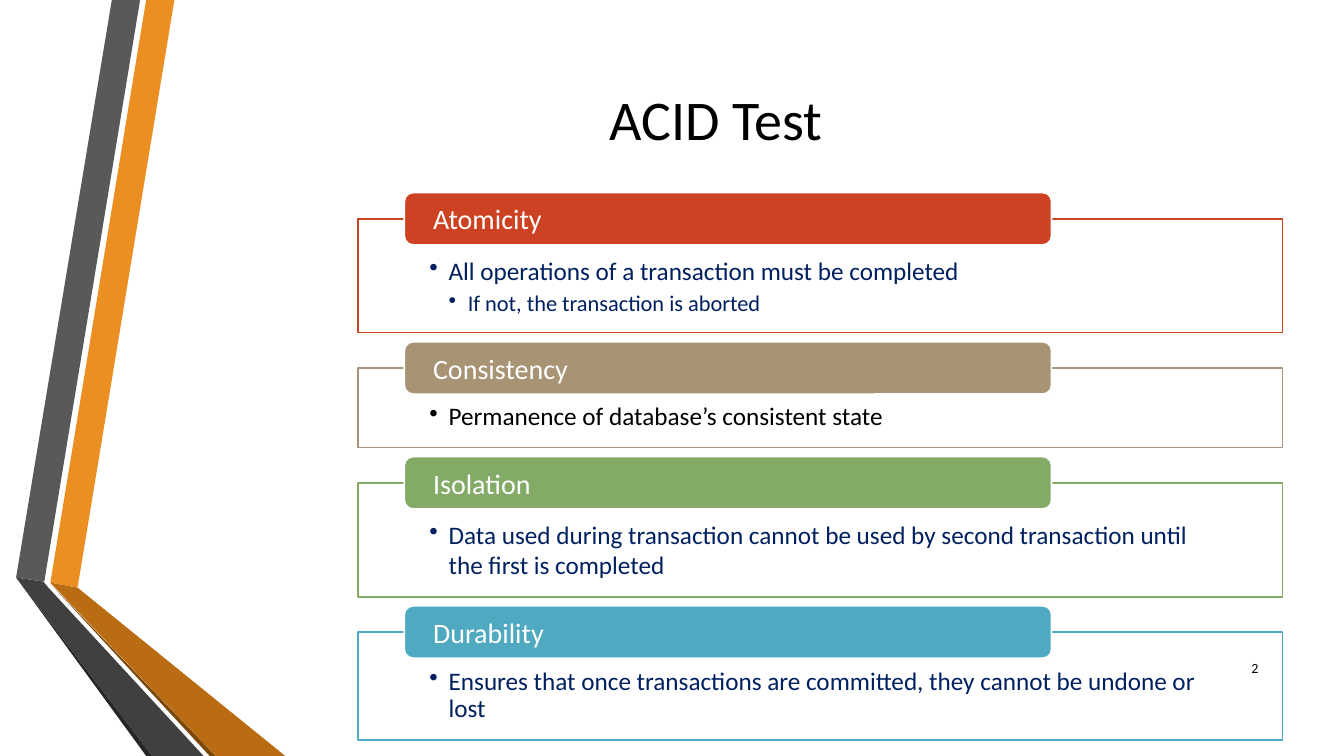
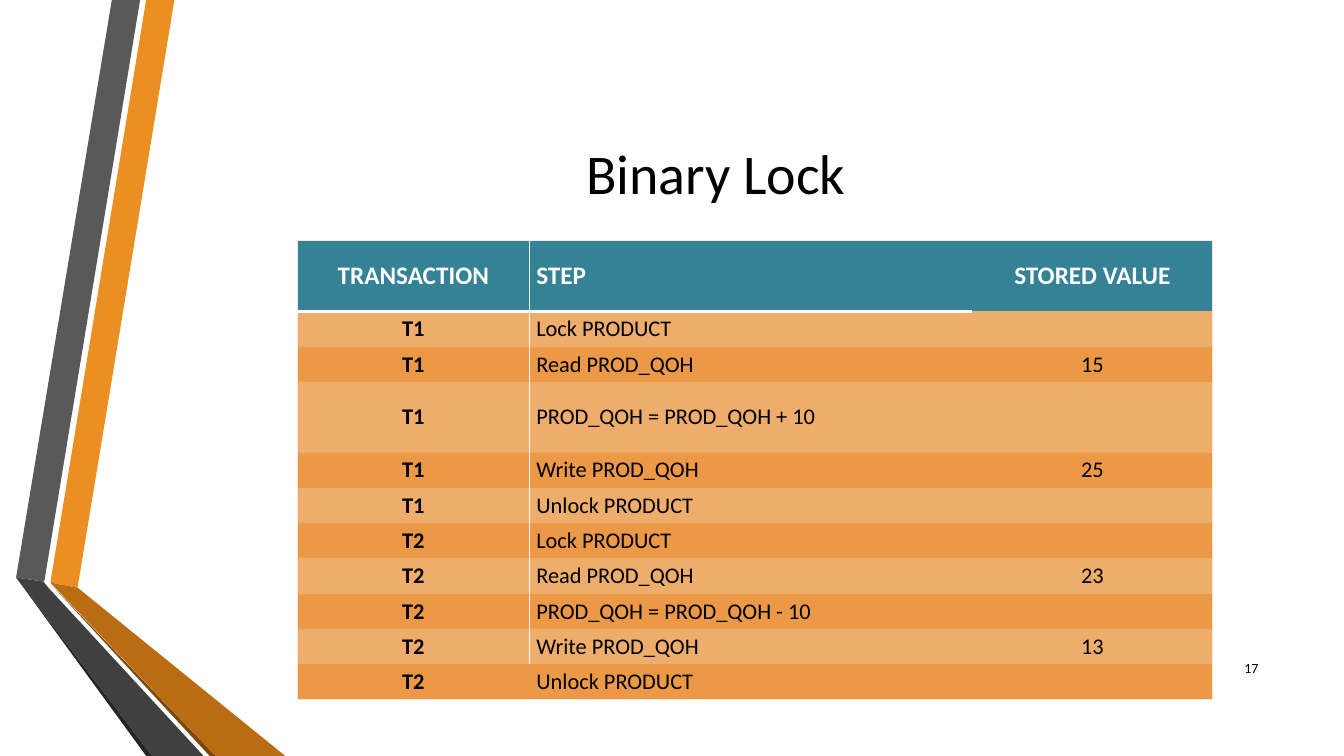
from lxml.etree import SubElement
from pptx import Presentation
from pptx.dml.color import RGBColor
from pptx.enum.shapes import MSO_SHAPE
from pptx.enum.text import MSO_ANCHOR, PP_ALIGN
from pptx.oxml.ns import qn
from pptx.util import Pt

PX = 9144  # 100 px to the inch
FONT = "Calibri"
PLAIN_TABLE_STYLE = "{2D5ABB26-0587-4C30-8999-92F81FD0307C}"
COLORS = {
    "white": "FFFFFF", "black": "000000", "navy": "002060",
    "orange": "EB8F22", "orange_dark": "B96C11", "orange_edge": "7B480B",
    "gray": "595959", "gray_dark": "404040", "gray_edge": "262626",
    "red": "CD4223", "tan": "A89374", "green": "83AA67", "blue": "4FA9C1",
    "header": "358297", "row_light": "EFAD6C", "row_dark": "EB9847",
    "frame": "F9E5DB",
}

# Folded ribbons at the left edge of every slide
RIBBONS = [
    ("orange", [(50, 578), (77, 583), (173, 0), (145, 0)]),
    ("gray", [(139, 0), (111, 0), (16, 573), (44, 577)]),
    ("gray_edge", [(16, 573), (145, 750), (151, 750)]),
    ("orange_edge", [(50, 579), (208, 750), (214, 750)]),
    ("orange_dark", [(50, 578), (214, 750), (283, 750), (77, 583)]),
    ("gray_dark", [(202, 750), (48, 583), (43, 577), (16, 573), (151, 750)]),
]

# Heading, colour, box height, line spacing, text colour, (level, text) bullets
PROPERTIES = [
    ("Atomicity", "red", 113, 1.0, "navy",
     [(1, "All operations of a transaction must be completed"),
      (2, "If not, the transaction is aborted")]),
    ("Consistency", "tan", 79, 0.9, "black",
     [(1, "Permanence of database’s consistent state")]),
    ("Isolation", "green", 113, 1.0, "navy",
     [(1, "Data used during transaction cannot be used by second transaction "
          "until the first is completed")]),
    ("Durability", "blue", 107, 0.9, "navy",
     [(1, "Ensures that once transactions are committed, they cannot be "
          "undone or lost")]),
]

LOCK_STEPS = [
    ("TRANSACTION", "STEP", "STORED VALUE"),
    ("T1", "Lock PRODUCT", ""),
    ("T1", "Read PROD_QOH", "15"),
    ("T1", "PROD_QOH = PROD_QOH + 10", ""),
    ("T1", "Write PROD_QOH", "25"),
    ("T1", "Unlock PRODUCT", ""),
    ("T2", "Lock PRODUCT", ""),
    ("T2", "Read PROD_QOH", "23"),
    ("T2", "PROD_QOH = PROD_QOH - 10", ""),
    ("T2", "Write PROD_QOH", "13"),
    ("T2", "Unlock PRODUCT", ""),
]
COLUMN_WIDTHS = (230, 439, 239)
TALL_ROWS = (0, 3)


def px(*lengths):
    return [length * PX for length in lengths]


def rgb(color):
    return RGBColor.from_string(COLORS[color])


def add_run(paragraph, text, size, color, bold=False):
    run = paragraph.add_run()
    run.text = text
    run.font.name = FONT
    run.font.size = Pt(size)
    run.font.bold = bold
    run.font.color.rgb = rgb(color)


def set_margins(holder, left, top, right, bottom):
    (holder.margin_left, holder.margin_top,
     holder.margin_right, holder.margin_bottom) = px(left, top, right, bottom)


def add_label(slide, area, text, size, align):
    frame = slide.shapes.add_textbox(*px(*area)).text_frame
    frame.word_wrap = True
    frame.vertical_anchor = MSO_ANCHOR.MIDDLE
    frame.paragraphs[0].alignment = align
    add_run(frame.paragraphs[0], text, size, "black")


def add_panel(slide, preset, area, fill, line, margins, anchor):
    panel = slide.shapes.add_shape(preset, *px(*area))
    panel.shadow.inherit = False
    panel.fill.solid()
    panel.fill.fore_color.rgb = rgb(fill)
    panel.line.color.rgb = rgb(line)
    panel.line.width = Pt(1.25)
    frame = panel.text_frame
    frame.word_wrap = True
    frame.vertical_anchor = anchor
    set_margins(frame, *margins)
    return frame


def add_bullet(paragraph, level, text, spacing, color):
    properties = paragraph._p.get_or_add_pPr()
    properties.set("marL", str(19 * PX * level))
    properties.set("indent", str(-19 * PX))
    paragraph.alignment = PP_ALIGN.LEFT
    paragraph.line_spacing = spacing
    paragraph.space_after = Pt(3)
    SubElement(properties, qn("a:buChar")).set("char", "•")
    add_run(paragraph, text, 20 - 2 * level, color)


def add_property(slide, top, heading, accent, height, spacing, color, bullets):
    # Outlined box with bullets
    body = add_panel(slide, MSO_SHAPE.RECTANGLE, (355, top, 917, height),
                     "white", accent, (71, 36, 71, 14), MSO_ANCHOR.TOP)
    for index, (level, text) in enumerate(bullets):
        paragraph = body.add_paragraph() if index else body.paragraphs[0]
        add_bullet(paragraph, level, text, spacing, color)
    # Heading tab centred on the top edge of the box
    tab = add_panel(slide, MSO_SHAPE.ROUNDED_RECTANGLE, (401, top - 26, 642, 52),
                    accent, "white", (26, 0, 26, 0), MSO_ANCHOR.MIDDLE)
    tab.paragraphs[0].alignment = PP_ALIGN.LEFT
    add_run(tab.paragraphs[0], heading, 20, "white")


def add_borders(cell, borders):
    properties = cell._tc.get_or_add_tcPr()
    for side in "LRTB":
        if side in borders:
            color, width = borders[side]
            line = SubElement(properties, qn(f"a:ln{side}"), w=str(Pt(width)))
            fill = SubElement(line, qn("a:solidFill"))
            SubElement(fill, qn("a:srgbClr"), val=COLORS[color])


def cell_borders(row, column):
    last_row, last_column = len(LOCK_STEPS) - 1, len(COLUMN_WIDTHS) - 1
    outer = ("frame", 0.75)
    borders = {}
    if row == 0:
        borders["T"] = outer
        if column < last_column:
            borders["B"] = ("white", 1.75)
    if row == last_row:
        borders["B"] = outer
    if column == 0:
        borders["L"] = outer
        if row < last_row:
            borders["R"] = ("white", 1.25)
    if column == last_column:
        borders["R"] = outer
    return borders


def add_lock_table(slide, left, top):
    heights = [70 if row in TALL_ROWS else 35 for row in range(len(LOCK_STEPS))]
    holder = slide.shapes.add_table(
        len(LOCK_STEPS), len(COLUMN_WIDTHS),
        *px(left, top, sum(COLUMN_WIDTHS), sum(heights)))
    next(holder._element.iter(qn("a:tableStyleId"))).text = PLAIN_TABLE_STYLE
    table = holder.table
    for column, width in enumerate(COLUMN_WIDTHS):
        table.columns[column].width = width * PX
    for row, texts in enumerate(LOCK_STEPS):
        table.rows[row].height = heights[row] * PX
        is_header = row == 0
        fill = "header" if is_header else ("row_dark", "row_light")[row % 2]
        for column, text in enumerate(texts):
            cell = table.cell(row, column)
            add_borders(cell, cell_borders(row, column))
            cell.fill.solid()
            cell.fill.fore_color.rgb = rgb(fill)
            cell.vertical_anchor = MSO_ANCHOR.MIDDLE
            set_margins(cell, 7, 0, 7, 0)
            paragraph = cell.text_frame.paragraphs[0]
            paragraph.alignment = PP_ALIGN.LEFT if column == 1 else PP_ALIGN.CENTER
            if text:
                add_run(paragraph, text, 18 if is_header else 16,
                        "white" if is_header else "black",
                        is_header or column == 0)


def add_ribbons(slide):
    for color, points in RIBBONS:
        builder = slide.shapes.build_freeform(*points[0], scale=PX)
        builder.add_line_segments(points[1:], close=True)
        ribbon = builder.convert_to_shape()
        ribbon.shadow.inherit = False
        ribbon.fill.solid()
        ribbon.fill.fore_color.rgb = rgb(color)
        ribbon.line.fill.background()


def start_slide(deck, title, title_top, title_height):
    slide = deck.slides.add_slide(deck.slide_layouts[6])
    add_ribbons(slide)
    add_label(slide, (162, title_top, 1096, title_height), title, 40,
              PP_ALIGN.CENTER)
    return slide


def add_page_number(slide, number):
    add_label(slide, (1198, 643, 60, 40), number, 10, PP_ALIGN.RIGHT)


def main():
    deck = Presentation()
    deck.slide_width, deck.slide_height = px(1333, 750)

    # ACID properties
    acid = start_slide(deck, "ACID Test", 62, 110)
    top, gap = 217, 35
    for heading, accent, height, *content in PROPERTIES:
        add_property(acid, top, heading, accent, height, *content)
        top += height + gap
    add_page_number(acid, "2")

    # Binary lock steps
    lock = start_slide(deck, "Binary Lock", 75, 192)
    add_lock_table(lock, 295, 239)
    add_page_number(lock, "17")

    deck.save("out.pptx")


if __name__ == "__main__":
    main()
